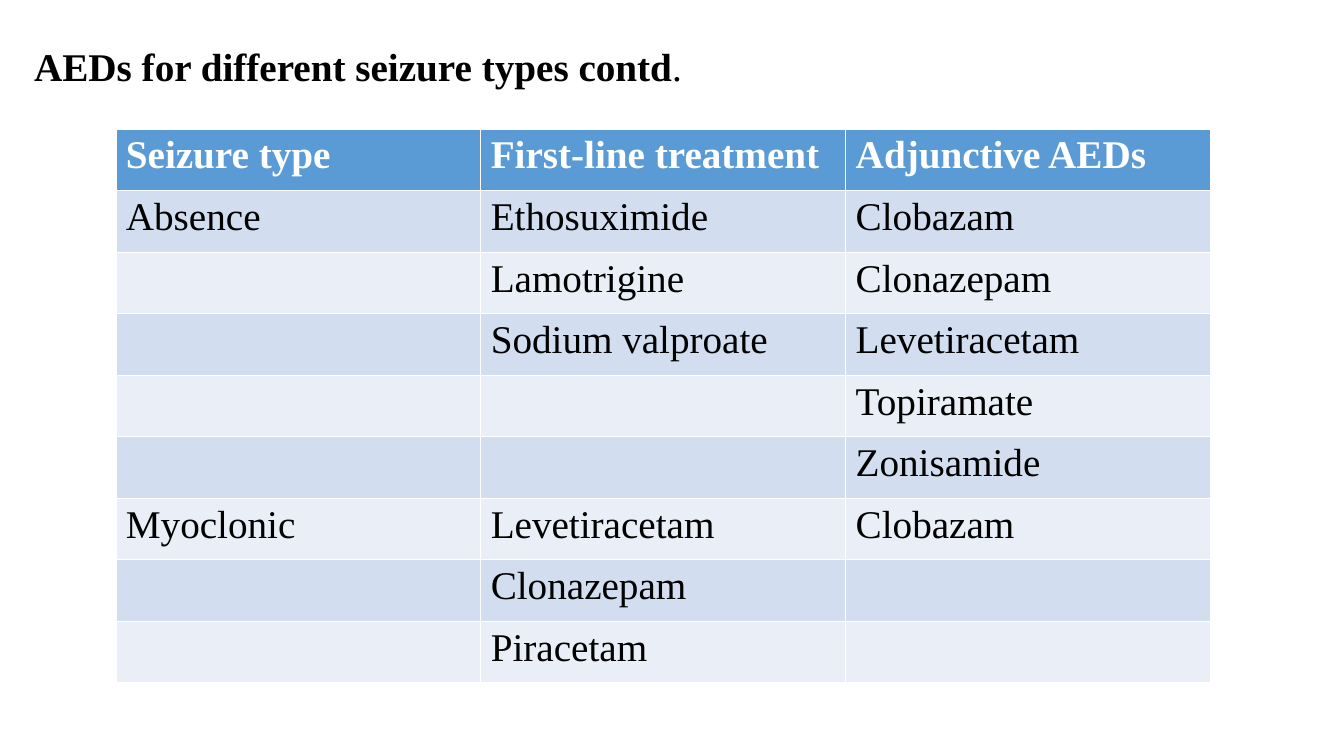
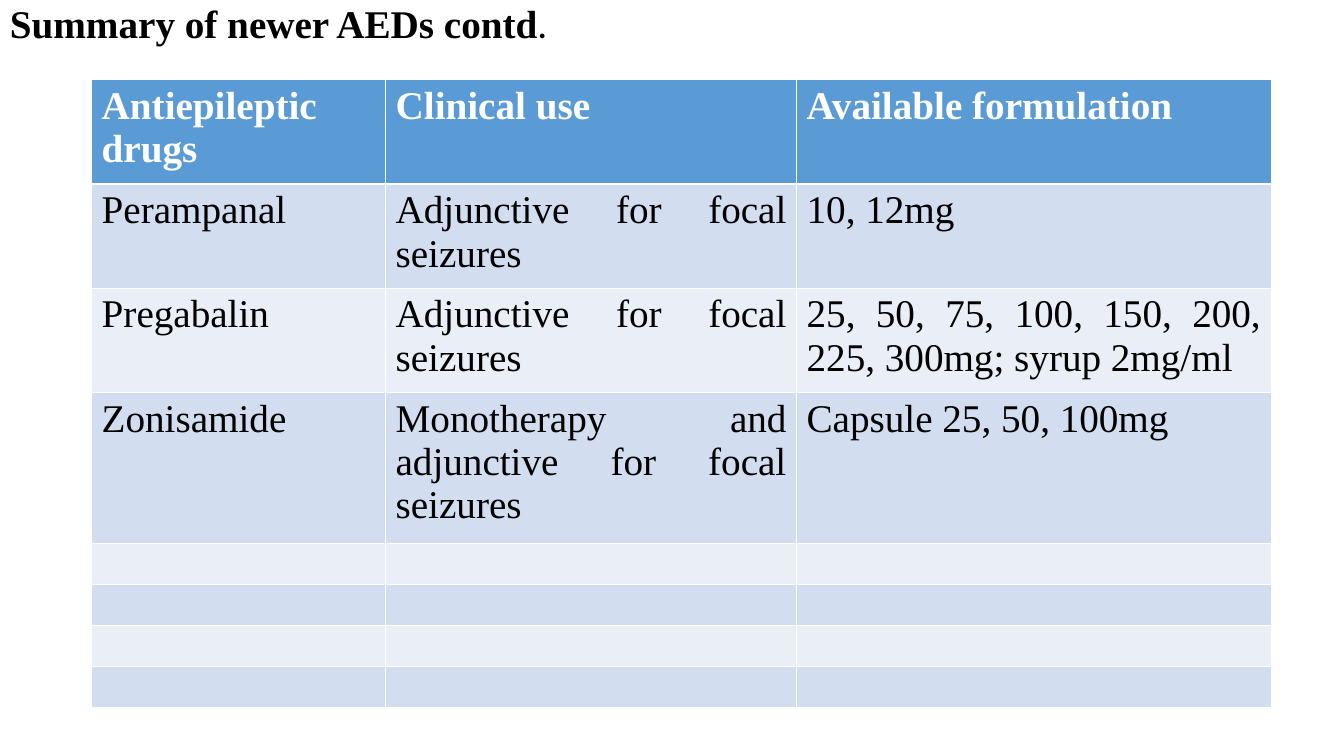
from lxml import etree
from pptx import Presentation
from pptx.dml.color import RGBColor
from pptx.enum.text import PP_ALIGN
from pptx.oxml.ns import qn
from pptx.util import Cm, Pt

LEFT, JUST = PP_ALIGN.LEFT, PP_ALIGN.JUSTIFY
SERIF, SANS = "Times New Roman", "Calibri"
WHITE, BLACK, BLUE = "FFFFFF", "000000", "5B9BD5"
BANDS = ("D2DEEF", "EAEFF7")
THIN, THICK = Pt(0.45), Pt(1.47)
BODY = {"size": Pt(28), "name": SERIF, "bold": False}
HEAD = {**BODY, "bold": True}

SEIZURES = [
    ("Seizure type", "First-line treatment", "Adjunctive AEDs"),
    ("Absence", "Ethosuximide", "Clobazam"),
    ("", "Lamotrigine", "Clonazepam"),
    ("", "Sodium valproate", "Levetiracetam"),
    ("", "", "Topiramate"),
    ("", "", "Zonisamide"),
    ("Myoclonic", "Levetiracetam", "Clobazam"),
    ("", "Clonazepam", ""),
    ("", "Piracetam", ""),
]
DRUGS = [
    ("Antiepileptic drugs", "Clinical use", "Available formulation"),
    ("Perampanal", "Adjunctive for focal seizures", "10, 12mg"),
    ("Pregabalin", "Adjunctive for focal seizures",
     "25, 50, 75, 100, 150, 200, 225, 300mg; syrup 2mg/ml"),
    ("Zonisamide", "Monotherapy and adjunctive for focal seizures",
     "Capsule 25, 50, 100mg"),
] + [("", "", "")] * 4


def paint(fmt, color):
    """Give a fill one solid colour."""
    fmt.solid()
    fmt.fore_color.rgb = RGBColor.from_string(color)


def add_run(para, text, style, color):
    run = para.add_run()
    run.text = text
    for key, value in style.items():
        setattr(run.font, key, value)
    paint(run.font.fill, color)


def add_title(slide, box, text, align, dot):
    """Place a bold title that ends in a plain dot set in the font dot."""
    frame = slide.shapes.add_textbox(*map(Cm, box)).text_frame
    frame.word_wrap = True
    para = frame.paragraphs[0]
    para.alignment, para.line_spacing = align, 0.9
    add_run(para, text, HEAD, BLACK)
    add_run(para, ".", {**BODY, "name": dot}, BLACK)


def add_edges(cell, row):
    """Draw white cell borders, thicker under the header."""
    props = cell._tc.get_or_add_tcPr()
    edges = {"L": THIN, "R": THIN,
             "T": THICK if row == 1 else THIN,
             "B": THICK if row == 0 else THIN}
    for side, width in edges.items():
        line = etree.SubElement(props, qn("a:ln" + side), w=str(width))
        fill = etree.SubElement(line, qn("a:solidFill"))
        etree.SubElement(fill, qn("a:srgbClr"), val=WHITE)


def add_grid(slide, spot, cols, rows, data, align):
    """Place a banded table; cols and rows are sizes in cm."""
    box = (*spot, sum(cols), sum(rows))
    table = slide.shapes.add_table(
        len(rows), len(cols), *map(Cm, box)).table
    for col, width in zip(table.columns, cols):
        col.width = Cm(width)
    for i, (height, texts) in enumerate(zip(rows, data)):
        table.rows[i].height = Cm(height)
        back, ink, style = ((BANDS[(i - 1) % 2], BLACK, BODY) if i
                            else (BLUE, WHITE, HEAD))
        for j, text in enumerate(texts):
            cell = table.cell(i, j)
            add_edges(cell, i)
            paint(cell.fill, back)
            if text:
                para = cell.text_frame.paragraphs[0]
                para.alignment = align
                add_run(para, text, style, ink)


def seizure_slide(slide):
    add_title(slide, (0.61, 1.07, 32.2, 17.45),
              "AEDs for different seizure types contd", JUST, SERIF)
    add_grid(slide, (2.92, 3.25), [9.2] * 3, [1.55] * 9, SEIZURES, LEFT)


def drug_slide(slide):
    add_title(slide, (0, 0, 33.86, 19.05),
              "Summary of newer AEDs contd", LEFT, SANS)
    add_grid(slide, (2.31, 2), [7.41, 10.36, 11.96],
             [2.62] * 3 + [3.79] + [1.03] * 4, DRUGS, JUST)


def main():
    deck = Presentation()
    deck.slide_width, deck.slide_height = Cm(33.88), Cm(19.05)
    for build in (seizure_slide, drug_slide):
        build(deck.slides.add_slide(deck.slide_layouts[6]))
    deck.save("out.pptx")


if __name__ == "__main__":
    main()
